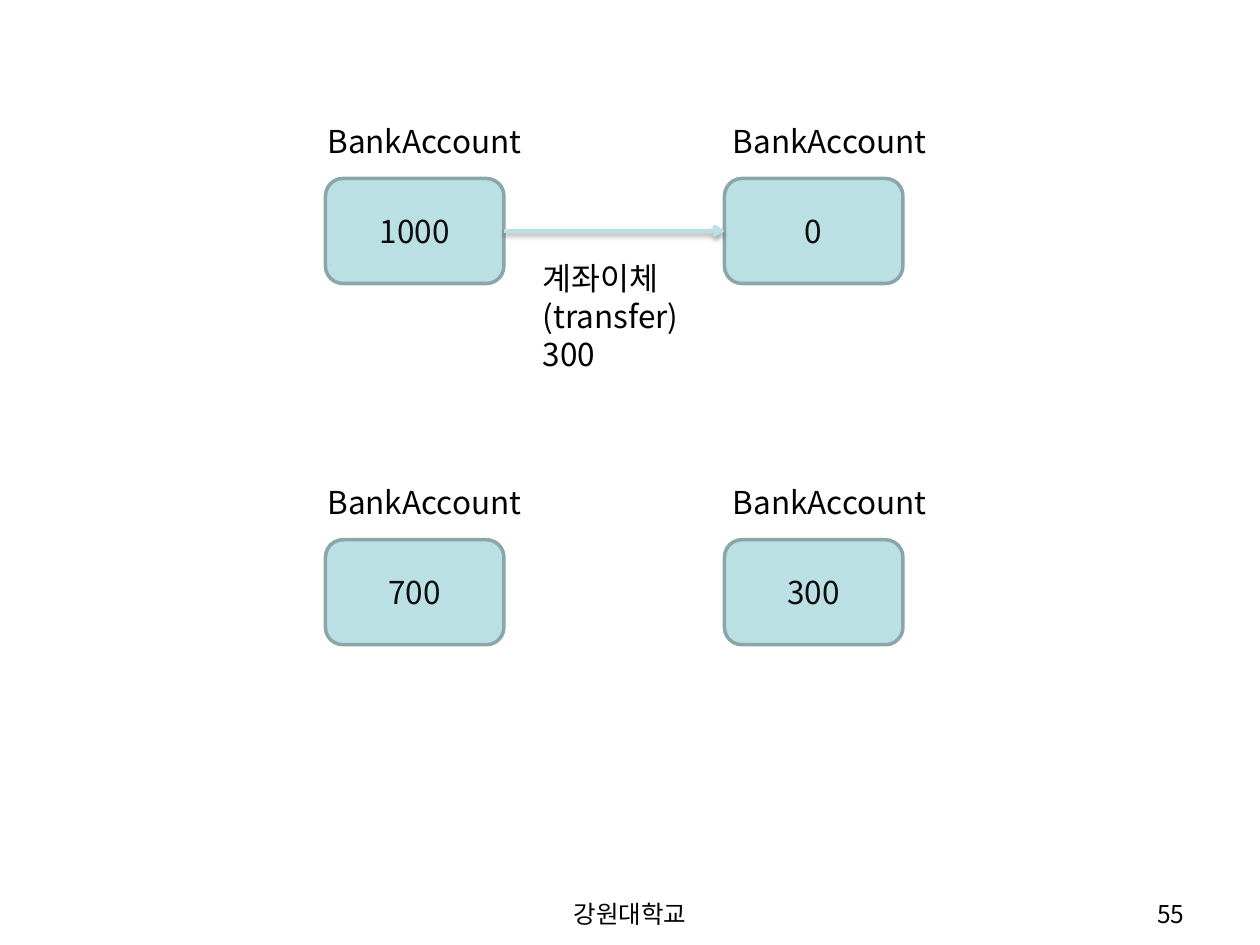
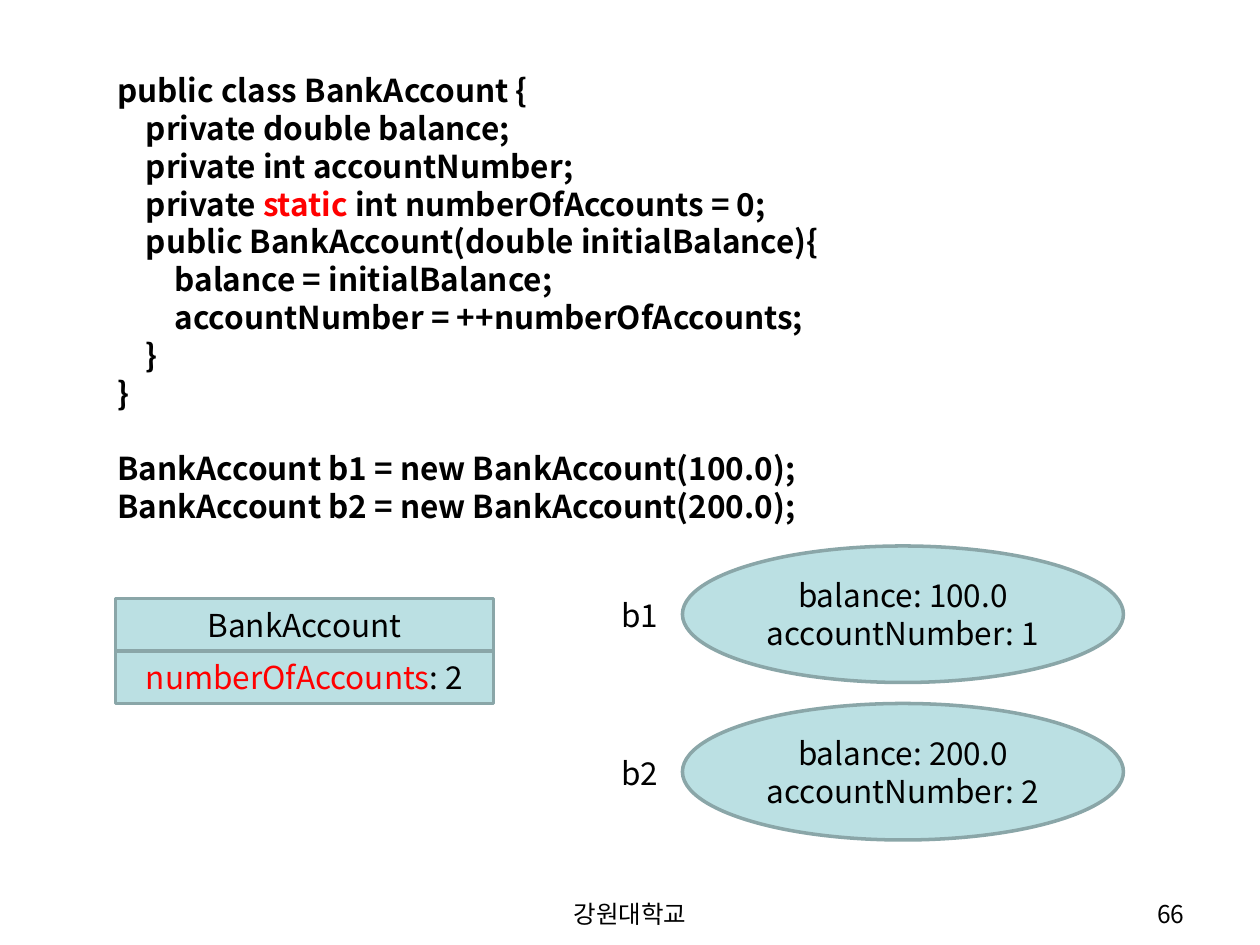
import pptx
import pptx.dml.color
import pptx.enum.shapes
import pptx.enum.text
import pptx.oxml
import pptx.oxml.ns
import pptx.util

COLORS = {"text": "000000", "value": "0D0D0D", "key": "FF0000",
          "fill": "BBE0E3", "edge": "8AA6A8"}
FONT = "Noto Sans CJK KR"
CELL = pptx.util.Inches(1) // 12
SHAPE = pptx.enum.shapes.MSO_SHAPE
ALIGN = pptx.enum.text.PP_ALIGN
SHADOW = """<a:effectLst %s><a:outerShdw blurRad="39370" dist="20320" dir="5400000"
rotWithShape="0"><a:srgbClr val="000000"><a:alpha val="38000"/></a:srgbClr>
</a:outerShdw></a:effectLst>""" % pptx.oxml.ns.nsdecls("a")


def rgb(name):
    """Return the named colour."""
    return pptx.dml.color.RGBColor.from_string(COLORS[name])


def style_all(target, values):
    """Set attributes of the target from a dict."""
    for name, value in values.items():
        setattr(target, name, value)


class Deck:
    """Hold the style and the current slide on a grid of twelfths of an inch."""

    def __init__(self):
        """Start a 120 by 90 cell presentation."""
        self.prs = pptx.Presentation()
        style_all(self.prs, {"slide_width": 120 * CELL, "slide_height": 90 * CELL})
        self.s = None

    def slide(self, number):
        """Add a slide with its footer and number."""
        self.s = self.prs.slides.add_slide(self.prs.slide_layouts[6])
        self.text(41, 85, 38, 3.2, ["강원대학교"], size=14, align=ALIGN.CENTER)
        self.text(86, 85, 28, 3.2, [str(number)], size=14, align=ALIGN.RIGHT)

    def box(self, *grid):
        """Turn columns and rows into lengths."""
        return [round(g * CELL) for g in grid]

    def put_lines(self, tf, lines, size=18, color="text", align=ALIGN.LEFT,
                  bold=False, gap=None):
        """Fill a frame with lines of strings or (text, colour) pairs."""
        for i, line in enumerate(lines):
            p = tf.paragraphs[0] if i == 0 else tf.add_paragraph()
            pitch = pptx.util.Pt(size * 1.2)
            style_all(p, {"alignment": align, "line_spacing": pitch,
                          "space_before": pitch if i == gap else 0})
            for text, tint in [(line, color)] if isinstance(line, str) else line:
                r = p.add_run()
                r.text = text
                style_all(r.font, {"name": FONT, "size": pptx.util.Pt(size), "bold": bold})
                r.font.color.rgb = rgb(tint)
                ea = pptx.oxml.parse_xml('<a:ea %s typeface="%s"/>' % (
                    pptx.oxml.ns.nsdecls("a"), FONT))
                r.font._element.append(ea)

    def text(self, x, y, w, h, lines, wrap=True, **style):
        """Add a text box."""
        tf = self.s.shapes.add_textbox(*self.box(x, y, w, h)).text_frame
        tf.word_wrap = wrap
        self.put_lines(tf, lines, **style)

    def shape(self, kind, x, y, w, h, lines, **style):
        """Add a filled shape with centred text."""
        sp = self.s.shapes.add_shape(kind, *self.box(x, y, w, h))
        sp.shadow.inherit = False
        sp.fill.solid()
        sp.fill.fore_color.rgb = rgb("fill")
        sp.line.color.rgb = rgb("edge")
        sp.line.width = pptx.util.Pt(2)
        sp.text_frame.vertical_anchor = pptx.enum.text.MSO_ANCHOR.MIDDLE
        self.put_lines(sp.text_frame, lines, align=ALIGN.CENTER, **style)

    def arrow(self, x1, y1, x2, y2):
        """Add a shadowed arrow."""
        kind = pptx.enum.shapes.MSO_CONNECTOR.STRAIGHT
        c = self.s.shapes.add_connector(kind, *self.box(x1, y1, x2, y2))
        c.line.color.rgb = rgb("fill")
        c.line.width = pptx.util.Pt(2)
        c.line._get_or_add_ln().append(pptx.oxml.parse_xml(
            '<a:tailEnd %s type="arrow"/>' % pptx.oxml.ns.nsdecls("a")))
        c._element.spPr.append(pptx.oxml.parse_xml(SHADOW))

    def account(self, x, y, label_x, balance):
        """Add a labelled account with its balance."""
        self.shape(SHAPE.ROUNDED_RECTANGLE, x, y, 17, 10, [balance], color="value")
        self.text(label_x, y - 6, 21.1, 4.8, ["BankAccount"], wrap=False)


CODE = [
    "public class BankAccount {",
    "    private double balance;",
    "    private int accountNumber;",
    [("    private ", "text"), ("static ", "key"), ("int numberOfAccounts = 0;", "text")],
    "    public BankAccount(double initialBalance){",
    "        balance = initialBalance;",
    "        accountNumber = ++numberOfAccounts;",
    "    }",
    "}",
    "BankAccount b1 = new BankAccount(100.0);",
    "BankAccount b2 = new BankAccount(200.0);",
]


def transfer_slide(d):
    """Show two accounts before and after a transfer."""
    d.slide(55)
    for y, balances in ((17, ("1000", "0")), (51.4, ("700", "300"))):
        for x, label_x, balance in zip((31, 69), (30, 68.6), balances):
            d.account(x, y, label_x, balance)
    d.arrow(48, 22, 69, 22)
    d.text(50.5, 24.1, 15.5, 12.1, ["계좌이체", "(transfer)", "300"], wrap=False)


def static_slide(d):
    """Show a class with a static field and its two objects."""
    d.slide(66)
    d.text(10, 6.2, 101, 48.5, CODE, bold=True, gap=9)
    fields = ["BankAccount", [("numberOfAccounts", "key"), (": 2", "text")]]
    for i, field in enumerate(fields):
        d.shape(SHAPE.RECTANGLE, 11, 57 + 5 * i, 36, 5, [field])
    for n in (1, 2):
        y = 37 + 15 * n
        d.shape(SHAPE.OVAL, 65, y, 42, 13,
                [f"balance: {n}00.0", f"accountNumber: {n}"])
        d.text(58, y + 4.2, 6, 4.8, [f"b{n}"], wrap=False)


def main():
    """Build and save the slides."""
    d = Deck()
    transfer_slide(d)
    static_slide(d)
    d.prs.save("out.pptx")


if __name__ == "__main__":
    main()
